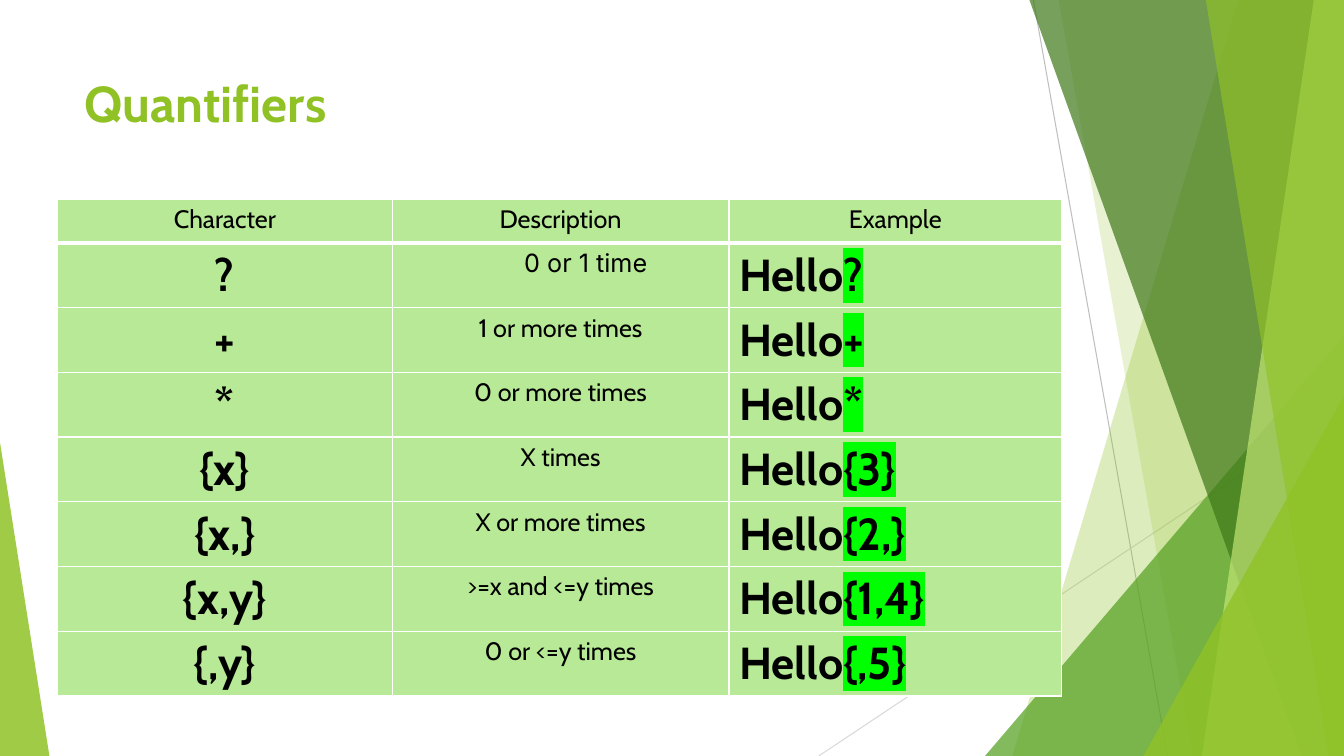
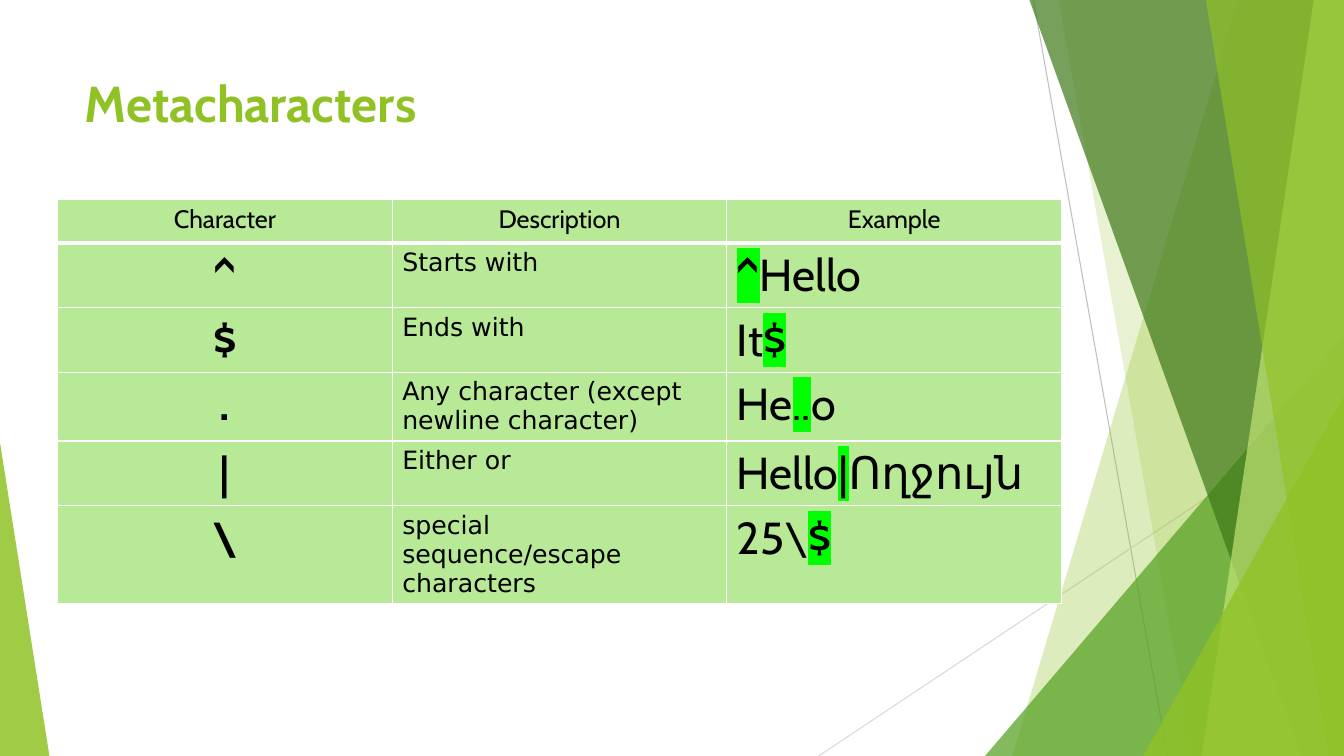
from dataclasses import dataclass

from lxml import etree
from pptx import Presentation
from pptx.dml.color import RGBColor
from pptx.enum.shapes import MSO_CONNECTOR, MSO_SHAPE
from pptx.enum.text import MSO_ANCHOR, PP_ALIGN
from pptx.oxml.ns import qn
from pptx.util import Pt

LEFT, CENTER = PP_ALIGN.LEFT, PP_ALIGN.CENTER
TOP = MSO_ANCHOR.TOP
STRAIGHT = MSO_CONNECTOR.STRAIGHT
TRIANGLE = MSO_SHAPE.ISOSCELES_TRIANGLE
PX = 9144
WIDTH, HEIGHT = 1333, 750
TITLE_ONLY = 5


@dataclass(frozen=True)
class Theme:
    lime: str = "90C226"
    leaf: str = "54A021"
    forest: str = "3F7819"
    pale_lime: str = "C0E474"
    cell: str = "B7E996"
    marker: str = "00FF00"
    ink: str = "000000"
    border: str = "FFFFFF"
    dark_line: str = "BFBFBF"
    light_line: str = "D9D9D9"
    font: str = "Cabin"
    title_size: int = 36
    example_size: int = 32
    text_size: int = 18
    hairline: float = 0.75
    thin: int = 1
    thick: int = 3


class Deck:
    def __init__(self, theme):
        self.theme = theme
        self.presentation = Presentation()
        self.presentation.slide_width = WIDTH * PX
        self.presentation.slide_height = HEIGHT * PX
        self.layout = self.presentation.slide_layouts[TITLE_ONLY]
        for placeholder in list(self.layout.placeholders)[1:]:
            placeholder.element.getparent().remove(placeholder.element)
        self.page = None

    def add_page(self, title):
        self.page = self.presentation.slides.add_slide(self.layout)
        box = self.page.shapes.title
        box.left, box.top, box.width, box.height = (v * PX for v in (74, 67, 940, 144))
        frame = box.text_frame
        frame.text = title
        frame.vertical_anchor = TOP
        self.style(frame.paragraphs[0], self.theme.title_size, self.theme.lime, LEFT, bold=True)

    def style(self, para, size, color, align, bold=False, font=None):
        para.alignment = align
        para.font.name = font or self.theme.font
        para.font.size = Pt(size)
        para.font.bold = bold
        para.font.color.rgb = RGBColor.from_string(color)

    def line(self, start, end, color):
        connector = self.page.shapes.add_connector(STRAIGHT, *(v * PX for v in start + end))
        connector.line.color.rgb = RGBColor.from_string(color)
        connector.line.width = Pt(self.theme.hairline)
        etree.SubElement(connector.element.spPr, qn("a:effectLst"))

    def paint(self, shape, color, opacity):
        shape.shadow.inherit = False
        shape.line.fill.background()
        shape.fill.solid()
        shape.fill.fore_color.rgb = RGBColor.from_string(color)
        tint = shape.element.xpath("./p:spPr/a:solidFill/a:srgbClr")[0]
        etree.SubElement(tint, qn("a:alpha")).set("val", str(opacity * 1000))

    def band(self, top_x, bottom_x, color, opacity):
        builder = self.page.shapes.build_freeform(top_x, 0, scale=PX)
        builder.add_line_segments([(WIDTH, 0), (WIDTH, HEIGHT), (bottom_x, HEIGHT)])
        self.paint(builder.convert_to_shape(), color, opacity)

    def corner(self, left, top, right, apex, color, opacity):
        shape = self.page.shapes.add_shape(
            TRIANGLE, left * PX, top * PX, (right - left) * PX, (HEIGHT - top) * PX)
        shape.adjustments[0] = apex
        self.paint(shape, color, opacity)

    def add_backdrop(self):
        theme = self.theme
        self.line((1025, 0), (1158, HEIGHT), theme.dark_line)
        self.line((WIDTH, 403), (812, HEIGHT), theme.light_line)
        self.band(1228, 1004, theme.lime, 30)
        self.band(1050, 1183, theme.lime, 20)
        self.corner(977, 333, WIDTH, 1, theme.leaf, 72)
        self.band(1021, 1291, theme.forest, 70)
        self.band(1303, 1192, theme.pale_lime, 70)
        self.band(1196, 1318, theme.lime, 65)
        self.corner(1134, 393, WIDTH, 1, theme.lime, 80)
        self.corner(0, 439, 49, 0, theme.lime, 85)
        for shape in list(self.page.shapes):
            if not shape.is_placeholder:
                self.layout.shapes.element.append(shape.element)

    def fill_cell(self, cell, row):
        properties = cell._tc.get_or_add_tcPr()
        heavy_side = {0: "lnB", 1: "lnT"}.get(row)
        for side in ("lnL", "lnR", "lnT", "lnB"):
            weight = self.theme.thick if side == heavy_side else self.theme.thin
            edge = etree.SubElement(properties, qn(f"a:{side}"), w=str(int(Pt(weight))))
            solid = etree.SubElement(edge, qn("a:solidFill"))
            etree.SubElement(solid, qn("a:srgbClr"), val=self.theme.border)
        cell.fill.solid()
        cell.fill.fore_color.rgb = RGBColor.from_string(self.theme.cell)

    def put_text(self, cell, text, size, align, bold=False, font=None):
        para = cell.text_frame.paragraphs[0]
        para.add_run().text = text
        self.style(para, size, self.theme.ink, align, bold, font)

    def put_example(self, cell, before, marked, after, bold):
        para = cell.text_frame.paragraphs[0]
        self.style(para, self.theme.example_size, self.theme.ink, LEFT, bold)
        for text, is_marked in ((before, False), (marked, True), (after, False)):
            if text:
                span = para.add_run()
                span.text = text
                if is_marked:
                    highlight = etree.SubElement(span.font._element, qn("a:highlight"))
                    etree.SubElement(highlight, qn("a:srgbClr"), val=self.theme.marker)
                    span.font.bold = bold or not before

    def add_table(self, widths, entries, align, fonts, bold_examples):
        theme = self.theme
        heights = [43] + [64] * len(entries)
        table = self.page.shapes.add_table(
            len(heights), len(widths), 57 * PX, 198 * PX,
            sum(widths) * PX, sum(heights) * PX).table
        table.first_row = table.horz_banding = False
        for column, width in zip(table.columns, widths):
            column.width = width * PX
        for index, (row, height) in enumerate(zip(table.rows, heights)):
            row.height = height * PX
            for cell in row.cells:
                self.fill_cell(cell, index)
        for column, heading in enumerate(("Character", "Description", "Example")):
            self.put_text(table.cell(0, column), heading, theme.text_size, CENTER)
        for index, (character, description, example) in enumerate(entries, 1):
            self.put_text(table.cell(index, 0), character, theme.example_size, CENTER, bold=True)
            self.put_text(table.cell(index, 1), description, theme.text_size, align,
                          font=fonts.get(index, fonts["all"]))
            self.put_example(table.cell(index, 2), *example, bold_examples)


QUANTIFIERS = [
    (character, description, ("Hello", marked, ""))
    for character, description, marked in (
        ("?", "\t0 or 1 time", "?"),
        ("+", "1 or more times", "+"),
        ("*", "0 or more times", "*"),
        ("{x}", "X times", "{3}"),
        ("{x,}", "X or more times", "{2,}"),
        ("{x,y}", ">=x and <=y times", "{1,4}"),
        ("{,y}", "0 or <=y times", "{,5}"),
    )
]
METACHARACTERS = [
    ("^", "Starts with", ("", "^", "Hello")),
    ("$", "Ends with", ("It", "$", "")),
    (".", "Any character (except newline character)", ("He", "..", "o")),
    ("|", "Either or", ("Hello", "|", "Ողջույն")),
    ("\\", "special sequence/escape characters", ("25\\", "$", "")),
]


def main():
    theme = Theme()
    deck = Deck(theme)
    deck.add_page("Quantifiers")
    deck.add_backdrop()
    deck.add_table((332, 334, 330), QUANTIFIERS, CENTER,
                   {"all": theme.font, 1: "Inter"}, bold_examples=True)
    deck.add_page("Metacharacters")
    deck.add_table((332, 332, 332), METACHARACTERS, LEFT,
                   {"all": "DejaVu Sans"}, bold_examples=False)
    deck.presentation.save("out.pptx")


if __name__ == "__main__":
    main()
